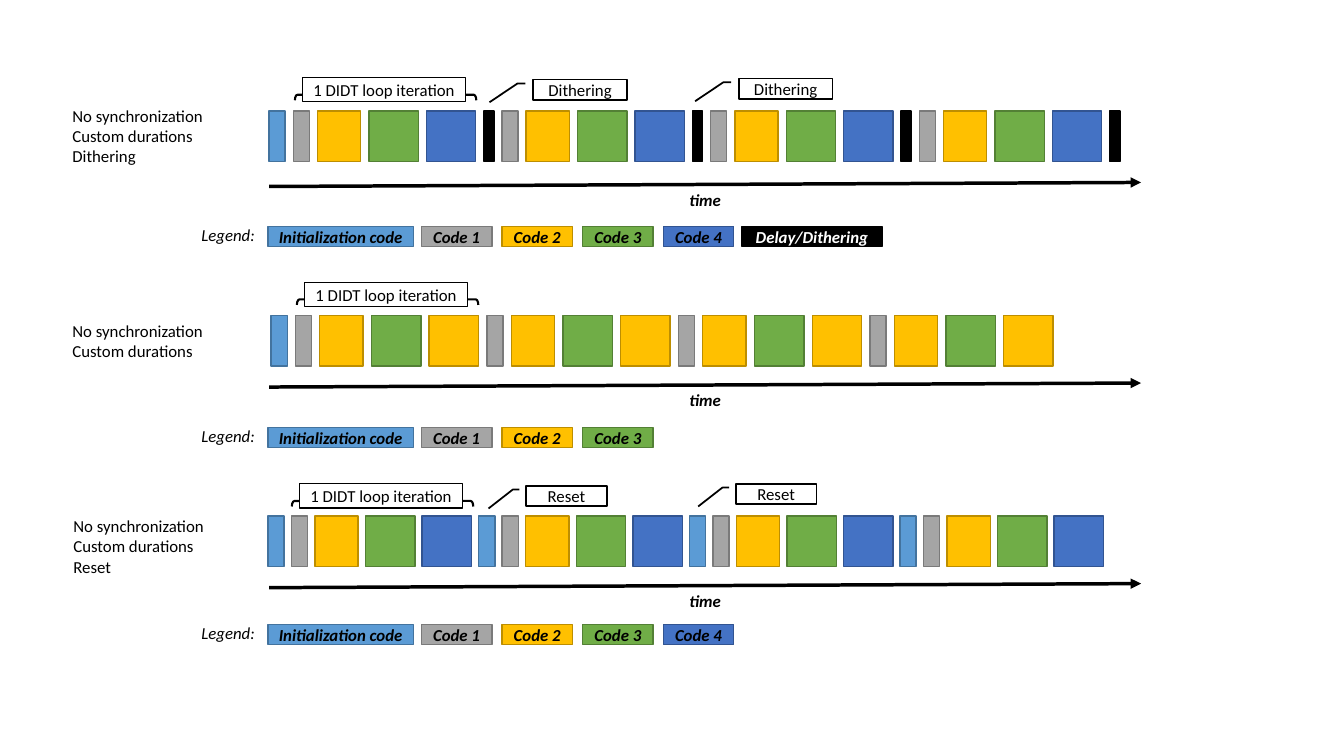
from pptx import Presentation
from pptx.dml.color import RGBColor
from pptx.enum.shapes import MSO_CONNECTOR, MSO_SHAPE
from pptx.enum.text import MSO_ANCHOR, MSO_AUTO_SIZE, PP_ALIGN
from pptx.oxml.ns import qn
from pptx.util import Inches, Pt
from lxml.etree import SubElement

CELL = 0.1  # side of a grid cell in inches; all lengths below are in cells
BLACK, WHITE = "000000", "FFFFFF"

# Kind of code: fill, line, legend label, legend left, legend width
KINDS = {
    "init": ("5B9BD5", "43739E", "Initialization code", 26.6, 14.4),
    "one": ("A5A5A5", "7A7A7A", "Code 1", 41.8, 7),
    "two": ("FFC000", "BD8E00", "Code 2", 49.8, 7),
    "three": ("70AD47", "538035", "Code 3", 57.8, 7),
    "four": ("4472C4", "325491", "Code 4", 65.8, 7),
    "delay": (BLACK, BLACK, "Delay/Dithering", 73.6, 13.9),
}
THIN, MID, WIDE, SLIM = 1.6, 4.3, 4.9, 1
LOOPS = 4

# Each loop lists (kind, width); "lead" is the block that runs only once
HEAD = [("one", THIN), ("two", MID), ("three", WIDE)]
ROWS = [
    dict(title="No synchronization\nCustom durations\nDithering",
         note=(6.2, 10, 7.1), top=11, lead=26.7, start=29.1, period=20.7,
         loop=HEAD + [("four", WIDE), ("delay", SLIM)],
         axis=18.5, legend=22.45, keys=list(KINDS), brace=(30, 7.7),
         calls=("Dithering", 9.3, [(52.9, 7.9), (73.3, 7.8)])),
    dict(title="No synchronization\nCustom durations",
         note=(6.2, 31.3, 5), top=31.3, lead=26.9, start=29.3, period=19,
         loop=HEAD + [("two", WIDE)],
         axis=38.4, legend=42.4, keys=list(KINDS)[:4], brace=(30.2, 28),
         calls=("", 0, [])),
    dict(title="No synchronization\nCustom durations\nReset",
         note=(6.3, 50.7, 7.1), top=51.2, lead=None, start=26.6, period=20.9,
         loop=[("init", THIN)] + HEAD + [("four", WIDE)],
         axis=58.3, legend=61.95, keys=list(KINDS)[:5], brace=(29.7, 48),
         calls=("Reset", 8, [(52.2, 48.2), (73, 48)])),
]


def grid(*cells):
    return [Inches(cell * CELL) for cell in cells]


def color(code):
    return RGBColor.from_string(code)


def write(shape, text, ink=BLACK, bold=False, slant=False, align=PP_ALIGN.CENTER):
    frame = shape.text_frame
    frame.text = text
    for para in frame.paragraphs:
        para.alignment = align
        for run in para.runs:
            font = run.font
            font.name, font.size = "Calibri", Pt(12)
            font.bold, font.italic = bold, slant
            font.color.rgb = color(ink)


def block(shapes, kind, area, fill, line, width=1):
    shape = shapes.add_shape(kind, *grid(*area))
    shape.shadow.inherit = False
    if fill:
        shape.fill.solid()
        shape.fill.fore_color.rgb = color(fill)
    else:
        shape.fill.background()
    shape.line.color.rgb = color(line)
    shape.line.width = Pt(width)
    frame = shape.text_frame
    frame.vertical_anchor = MSO_ANCHOR.MIDDLE
    frame.margin_top = frame.margin_bottom = 0
    frame.margin_left = frame.margin_right = 0
    return shape


def label(shapes, area, text, **style):
    box = shapes.add_textbox(*grid(*area))
    box.text_frame.word_wrap = True
    box.text_frame.auto_size = MSO_AUTO_SIZE.SHAPE_TO_FIT_TEXT
    write(box, text, **style)


def track(slide, row):
    shapes = slide.shapes.add_group_shape().shapes

    def bar(kind, left, width):
        block(shapes, MSO_SHAPE.RECTANGLE, (left, row["top"], width, 5), *KINDS[kind][:2])

    if row["lead"]:
        bar("init", row["lead"], THIN)
    loop = row["loop"]
    gap = (row["period"] - sum(width for _, width in loop)) / len(loop)
    for turn in range(LOOPS):
        left = row["start"] + turn * row["period"]
        for kind, width in loop:
            bar(kind, left, width)
            left += width + gap


def axis(slide, y):
    shapes = slide.shapes.add_group_shape().shapes
    arrow = shapes.add_connector(MSO_CONNECTOR.STRAIGHT, *grid(26.7, y, 113.2, y - 0.4))
    arrow.line.color.rgb = color(BLACK)
    arrow.line.width = Pt(2.5)
    SubElement(arrow.line._get_or_add_ln(), qn("a:tailEnd"), type="triangle")
    SubElement(arrow._element.spPr, qn("a:effectLst"))
    label(shapes, (66.6, y - 0.2, 6.7, 3), "time", bold=True, slant=True)


def legend(slide, y, keys):
    label(slide.shapes, (19, y - 0.65, 7.6, 3), "Legend:", slant=True, align=PP_ALIGN.LEFT)
    for key in keys:
        fill, line, text, left, width = KINDS[key]
        item = block(slide.shapes, MSO_SHAPE.RECTANGLE, (left, y, width, 2), fill, line)
        write(item, text, WHITE if fill == BLACK else BLACK, bold=True, slant=True)


def brace(slide, left, top):
    # The brace is turned a quarter round its centre
    mid, tall, thick = left + 8.25, 18, 1.1
    area = (mid - thick / 2, top + 1.7 - tall / 2, thick, tall)
    curl = block(slide.shapes, MSO_SHAPE.LEFT_BRACE, area, None, BLACK, 1.5)
    curl.adjustments[0], curl.adjustments[1] = 0.23, 0.5
    curl.rotation = 90
    plate = block(slide.shapes, MSO_SHAPE.RECTANGLE, (left, top, 16.2, 2.4), WHITE, BLACK)
    write(plate, "1 DIDT loop iteration")


def calls(slide, text, width, spots):
    for left, top in spots:
        call = block(slide.shapes, MSO_SHAPE.LINE_CALLOUT_2, (left, top, width, 2),
                     WHITE, BLACK, 1.25)
        write(call, text)


def main():
    deck = Presentation()
    deck.slide_width, deck.slide_height = grid(133.33, 75)
    slide = deck.slides.add_slide(deck.slide_layouts[6])
    for row in ROWS:
        left, top, height = row["note"]
        label(slide.shapes, (left, top, 17.7, height), row["title"], align=PP_ALIGN.LEFT)
        track(slide, row)
        axis(slide, row["axis"])
        legend(slide, row["legend"], row["keys"])
        brace(slide, *row["brace"])
        calls(slide, *row["calls"])
    deck.save("out.pptx")


main()
